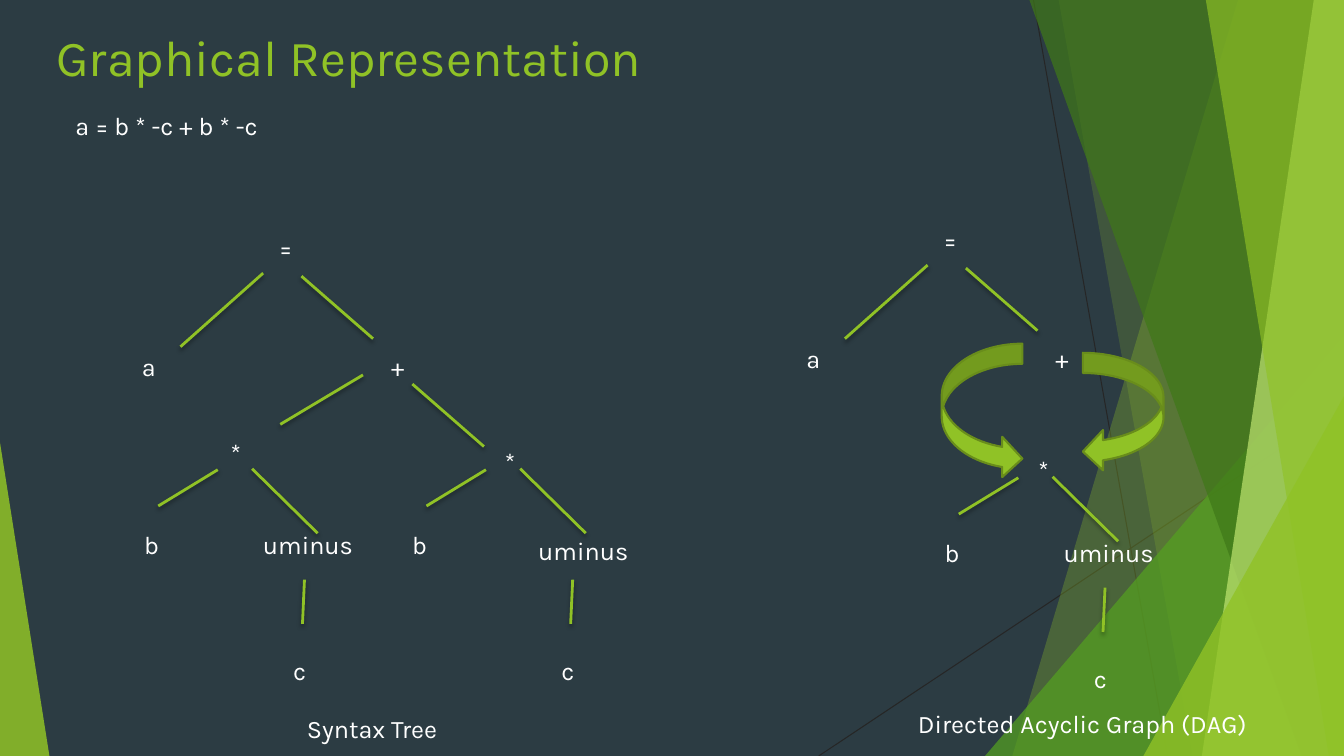
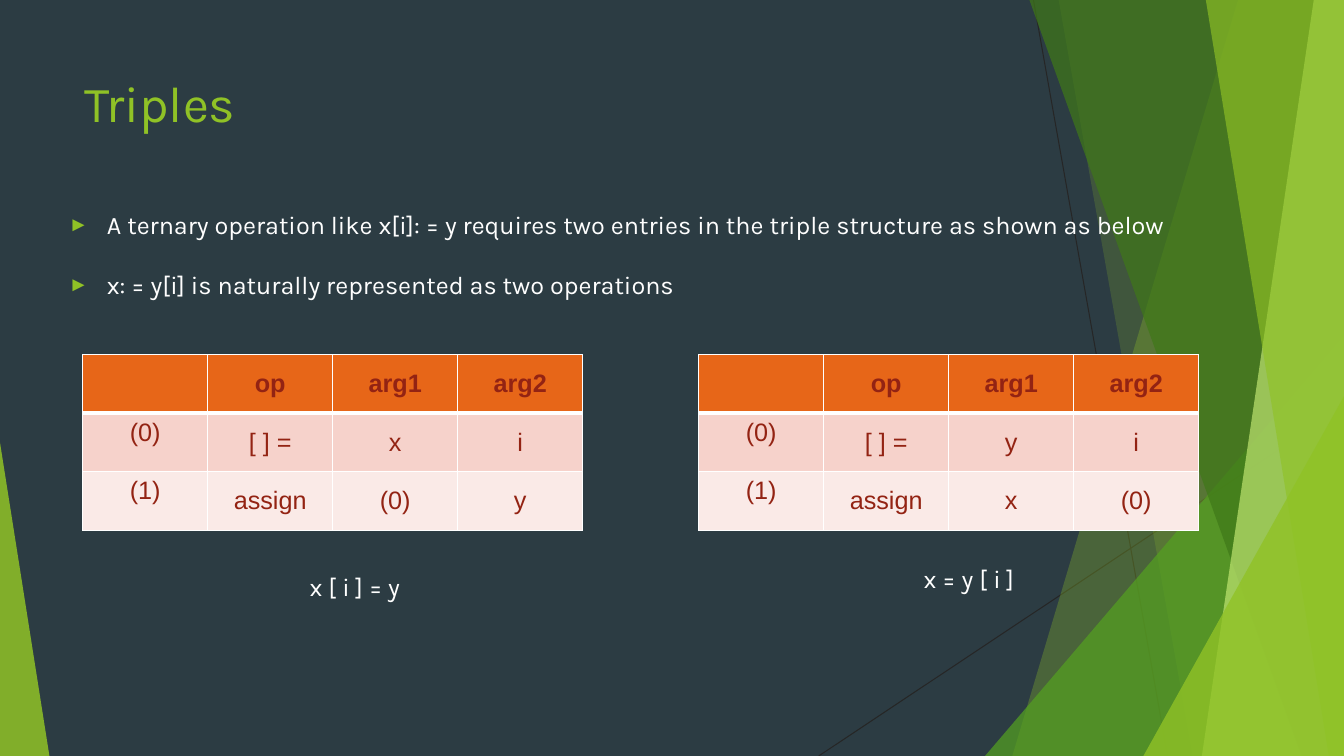
import dataclasses

import lxml.etree
import pptx
import pptx.dml.color
import pptx.enum.shapes
import pptx.enum.text
import pptx.oxml.ns
import pptx.util

Inches = pptx.util.Inches
Pt = pptx.util.Pt
MSO_SHAPE = pptx.enum.shapes.MSO_SHAPE
PP_ALIGN = pptx.enum.text.PP_ALIGN
MSO_ANCHOR = pptx.enum.text.MSO_ANCHOR
MSO_AUTO_SIZE = pptx.enum.text.MSO_AUTO_SIZE


@dataclasses.dataclass(frozen=True)
class Theme:
    """Colours, fonts and type sizes of the deck."""
    width: float = 13.33
    height: float = 7.5
    background: str = "2C3C43"
    lime: str = "90C226"
    lime_edge: str = "698D1B"
    pale_lime: str = "BFE471"
    green: str = "54A021"
    forest: str = "3F7818"
    hairline: str = "262626"
    white: str = "FFFFFF"
    body_text: str = "FEFEFE"
    table_text: str = "932313"
    table_head: str = "E76618"
    table_rows: tuple = ("F6D2CB", "FAEAE7")
    font: str = "Karla"
    table_font: str = "Arial"
    title_size: int = 36
    text_size: int = 18


THEME = Theme()


def rgb(colour):
    """Turn a hex string into a colour."""
    return pptx.dml.color.RGBColor.from_string(colour)


def child(parent, tag, **attributes):
    """Append a DrawingML element."""
    return lxml.etree.SubElement(parent, pptx.oxml.ns.qn(tag), attributes)


def style(paragraph, colour, size=THEME.text_size, font=THEME.font, bold=False):
    """Set the font of a paragraph."""
    paragraph.font.name = font
    paragraph.font.size = Pt(size)
    paragraph.font.bold = bold
    paragraph.font.color.rgb = rgb(colour)


def place(shape, left, top, width, height):
    """Move and size a shape in inches."""
    shape.left, shape.top = Inches(left), Inches(top)
    shape.width, shape.height = Inches(width), Inches(height)


def line(slide, start, end, colour=THEME.lime, width=2, shadow=True):
    """Draw a straight line, with a soft shadow if wanted."""
    stroke = slide.shapes.add_connector(
        pptx.enum.shapes.MSO_CONNECTOR.STRAIGHT,
        *(Inches(value) for value in (*start, *end)))
    stroke.line.color.rgb = rgb(colour)
    stroke.line.width = Pt(width)
    effects = child(stroke.element.spPr, "a:effectLst")
    if shadow:
        outer = child(effects, "a:outerShdw", blurRad=str(Pt(3)), dist=str(Pt(2)),
                      dir="5400000", rotWithShape="0")
        black = child(outer, "a:srgbClr", val="000000")
        child(black, "a:alpha", val="35000")
    return stroke


def glass(shape, colour, opacity):
    """Fill a shape with a see-through colour and no outline."""
    shape.shadow.inherit = False
    shape.fill.solid()
    shape.fill.fore_color.rgb = rgb(colour)
    shape.line.fill.background()
    tint = shape.element.spPr.find(".//" + pptx.oxml.ns.qn("a:srgbClr"))
    child(tint, "a:alpha", val=str(opacity * 1000))
    return shape


def ribbon(slide, top_left, bottom_left, colour, opacity):
    """Draw a band that runs from a slanted edge to the right of the slide."""
    outline = slide.shapes.build_freeform(Inches(top_left), 0)
    corners = [(THEME.width, 0), (THEME.width, THEME.height), (bottom_left, THEME.height)]
    outline.add_line_segments([(Inches(x), Inches(y)) for x, y in corners])
    return glass(outline.convert_to_shape(), colour, opacity)


def wedge(slide, left, top, width, apex, colour, opacity):
    """Draw a triangle that stands on the bottom of the slide."""
    triangle = slide.shapes.add_shape(
        MSO_SHAPE.ISOSCELES_TRIANGLE, Inches(left), Inches(top),
        Inches(width), Inches(THEME.height - top))
    triangle.adjustments[0] = apex
    return glass(triangle, colour, opacity)


def decorate_master(master, slide):
    """Draw the backdrop and move it to the slide master."""
    master.background.fill.solid()
    master.background.fill.fore_color.rgb = rgb(THEME.background)
    backdrop = [
        line(slide, (10.25, 0), (11.58, 7.5), THEME.hairline, 0.75, False),
        line(slide, (13.33, 4.03), (8.12, 7.5), THEME.hairline, 0.75, False),
        ribbon(slide, 12.28, 10.04, THEME.lime, 30),
        ribbon(slide, 10.5, 11.83, THEME.lime, 20),
        wedge(slide, 9.77, 3.33, 3.56, 1, THEME.green, 72),
        ribbon(slide, 10.21, 12.91, THEME.forest, 70),
        ribbon(slide, 13.03, 11.92, THEME.pale_lime, 70),
        ribbon(slide, 11.96, 13.18, THEME.lime, 65),
        wedge(slide, 11.34, 3.93, 1.99, 1, THEME.lime, 80),
        wedge(slide, 0, 4.39, 0.49, 0, THEME.lime, 85),
    ]
    for number, part in enumerate(backdrop, start=100):
        part.element.find(".//" + pptx.oxml.ns.qn("p:cNvPr")).set("id", str(number))
        master.shapes.element.append(part.element)


def title(slide, text, left, top, height):
    """Fill and place the title."""
    heading = slide.shapes.title
    place(heading, left, top, 9.4, height)
    heading.text_frame.text = text
    heading.text_frame.vertical_anchor = MSO_ANCHOR.TOP
    heading.text_frame.auto_size = MSO_AUTO_SIZE.NONE
    paragraph = heading.text_frame.paragraphs[0]
    paragraph.alignment = PP_ALIGN.LEFT
    style(paragraph, THEME.lime, THEME.title_size)


def bullets(slide, items, left, top, width, height):
    """Fill and place the body list."""
    body = slide.placeholders[1]
    place(body, left, top, width, height)
    frame = body.text_frame
    frame.text = "\n".join(items)
    frame.auto_size = MSO_AUTO_SIZE.NONE
    for index, paragraph in enumerate(frame.paragraphs):
        paragraph.line_spacing = 1.5
        paragraph.space_before = Pt(10 if index else 0)
        properties = paragraph._p.get_or_add_pPr()
        properties.set("marL", str(Inches(0.38)))
        properties.set("indent", str(Inches(-0.38)))
        child(child(properties, "a:buClr"), "a:srgbClr", val=THEME.lime)
        child(properties, "a:buSzPct", val="80000")
        child(properties, "a:buFont", typeface=THEME.table_font)
        child(properties, "a:buChar", char="►")
        style(paragraph, THEME.body_text)


def label(slide, text, left, top, width=0.42, alignment=PP_ALIGN.LEFT):
    """Write one line of text."""
    box = slide.shapes.add_textbox(Inches(left), Inches(top), Inches(width), Inches(0.4))
    box.text_frame.word_wrap = True
    box.text_frame.auto_size = MSO_AUTO_SIZE.SHAPE_TO_FIT_TEXT
    paragraph = box.text_frame.paragraphs[0]
    paragraph.text = text
    paragraph.alignment = alignment
    style(paragraph, THEME.white)


def branches(slide, left, top, edges):
    """Draw tree edges given relative to a corner."""
    for x1, y1, x2, y2 in edges:
        line(slide, (left + x1, top + y1), (left + x2, top + y2))


def assignment(slide, left, top):
    """Draw the root of a tree, with its left leaf at the given place."""
    label(slide, "=", left + 1.36, top - 1.18)
    label(slide, "a", left, top)
    label(slide, "+", left + 2.47, top)
    branches(slide, left, top, [(0.48, 0, 1.3, -0.73), (2.39, -0.08, 1.68, -0.7)])


def product(slide, left, top, star, negation):
    """Draw the subtree b * -c, with b at the given place."""
    label(slide, "*", *star)
    label(slide, "b", left, top)
    label(slide, "uminus", *negation, width=1.16)
    label(slide, "c", left + 1.48, top + 1.25)
    branches(slide, left, top, [
        (0.83, -0.54, 0.24, -0.18),
        (1.17, -0.55, 1.82, 0.09),
        (1.69, 0.55, 1.67, 0.99),
    ])


def curved_arrow(slide, preset, left, top, height):
    """Draw a curved block arrow."""
    arrow = slide.shapes.add_shape(
        preset, Inches(left), Inches(top), Inches(0.8), Inches(height))
    arrow.shadow.inherit = False
    arrow.fill.solid()
    arrow.fill.fore_color.rgb = rgb(THEME.lime)
    arrow.line.color.rgb = rgb(THEME.lime_edge)
    arrow.line.width = Pt(1.5)


def border(cell, **widths):
    """Draw white borders of the given widths around a cell."""
    properties = cell._tc.get_or_add_tcPr()
    for side in "LRTB":
        edge = child(properties, "a:ln" + side, w=str(Pt(widths.get(side, 1))))
        child(child(edge, "a:solidFill"), "a:srgbClr", val=THEME.white)


def triples(slide, left, top, entries):
    """Draw a table of triples with a header row and numbered entries."""
    rows = [("", "op", "arg1", "arg2")]
    rows += [(f"({number})", *entry) for number, entry in enumerate(entries)]
    fills = (THEME.table_head, *THEME.table_rows)
    column, row_height = 1.24, 0.58
    table = slide.shapes.add_table(
        len(rows), len(rows[0]), Inches(left), Inches(top),
        Inches(column * len(rows[0])), Inches(row_height * len(rows))).table
    for r, row in enumerate(rows):
        for c, text in enumerate(row):
            cell = table.cell(r, c)
            border(cell, T=3 if r == 1 else 1, B=1 if r else 3)
            cell.fill.solid()
            cell.fill.fore_color.rgb = rgb(fills[r])
            cell.vertical_anchor = MSO_ANCHOR.MIDDLE if c else MSO_ANCHOR.TOP
            paragraph = cell.text_frame.paragraphs[0]
            paragraph.text = text
            paragraph.alignment = PP_ALIGN.CENTER
            style(paragraph, THEME.table_text, font=THEME.table_font, bold=r == 0)


def graphs_slide(slide):
    """Build the syntax tree and the graph."""
    title(slide, "Graphical Representation", 0.46, 0.21, 0.83)
    label(slide, "a = b * -c + b * -c", 0.65, 1.05, 3)
    assignment(slide, 1.31, 3.44)
    branches(slide, 0, 0, [(3.6, 3.72, 2.78, 4.21), (4.8, 4.43, 4.09, 3.81)])
    product(slide, 1.33, 5.2, star=(2.19, 4.29), negation=(2.51, 5.2))
    product(slide, 3.99, 5.2, star=(4.91, 4.38), negation=(5.24, 5.26))
    assignment(slide, 7.9, 3.36)
    product(slide, 9.27, 5.28, star=(10.2, 4.46), negation=(10.45, 5.28))
    curved_arrow(slide, MSO_SHAPE.CURVED_LEFT_ARROW, 10.74, 3.5, 1.18)
    curved_arrow(slide, MSO_SHAPE.CURVED_RIGHT_ARROW, 9.34, 3.41, 1.34)
    label(slide, "Syntax Tree", 2.19, 7.03, 3, PP_ALIGN.CENTER)
    label(slide, "Directed Acyclic Graph (DAG)", 8.7, 6.98, 4.07, PP_ALIGN.CENTER)


def triples_slide(slide):
    """Build the list and the two tables of triples."""
    title(slide, "Triples", 0.74, 0.67, 1.2)
    bullets(slide, [
        "A ternary operation like x[i]: = y requires two entries in the triple "
        "structure as shown as below",
        "x: = y[i] is naturally represented as two operations",
    ], 0.58, 1.88, 11.42, 1.38)
    triples(slide, 0.82, 3.52, [("[ ] =", "x", "i"), ("assign", "(0)", "y")])
    triples(slide, 6.93, 3.52, [("[ ] =", "y", "i"), ("assign", "x", "(0)")])
    label(slide, "x [ i ] = y", 2.02, 5.62, 3, PP_ALIGN.CENTER)
    label(slide, "x = y [ i ]", 8.11, 5.54, 3, PP_ALIGN.CENTER)


def main():
    """Build and save the deck."""
    deck = pptx.Presentation()
    deck.slide_width, deck.slide_height = Inches(THEME.width), Inches(THEME.height)
    title_only, title_and_body = deck.slide_layouts[5], deck.slide_layouts[1]
    graphs = deck.slides.add_slide(title_only)
    decorate_master(deck.slide_master, graphs)
    graphs_slide(graphs)
    triples_slide(deck.slides.add_slide(title_and_body))
    deck.save("out.pptx")


if __name__ == "__main__":
    main()
